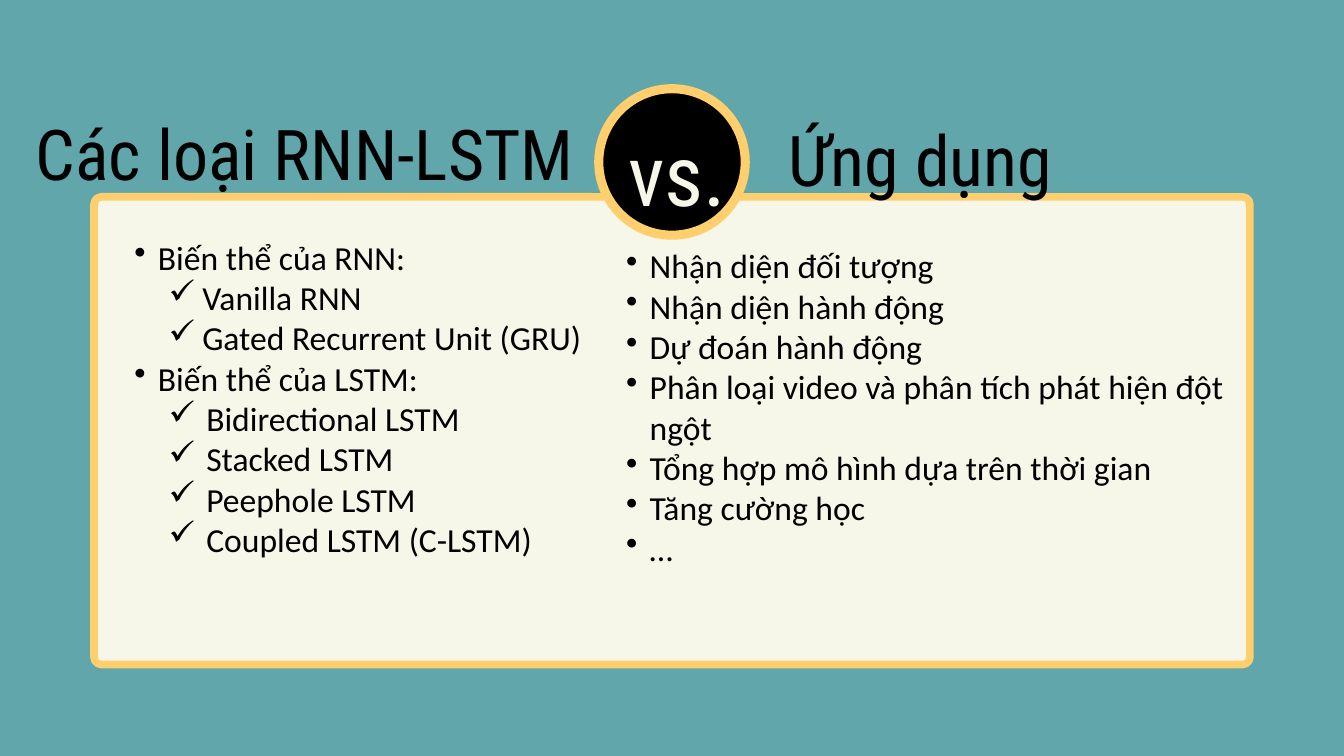
from lxml import etree
from pptx import Presentation, util as u
from pptx.dml.color import RGBColor
from pptx.enum import shapes, text
from pptx.oxml.ns import qn

deck = Presentation()
deck.slide_width, deck.slide_height = u.Inches(20), u.Inches(11.25)
page = deck.slides.add_slide(deck.slide_layouts[5])

# Grid of 80 columns by 45 rows
COLUMN, ROW = deck.slide_width / 80, deck.slide_height / 45
BLACK, CREAM, GOLD, TEAL = "000000", "F6F6E9", "FFCE6D", "61A6AB"
BULLET, CHECK = "•", "✓"


def grid(left, top, width, height):
    return [round(n * unit) for n, unit in
            zip((left, top, width, height), (COLUMN, ROW, COLUMN, ROW))]


def paint(target, colour):
    if hasattr(target, "solid"):
        target.solid()
        target = target.fore_color
    target.rgb = RGBColor.from_string(colour)


paint(page.background.fill, TEAL)

# Card and round badge
for kind, place, colour, weight in [
    (shapes.MSO_SHAPE.ROUNDED_RECTANGLE, (5.6, 11.72, 68.8, 27.84), CREAM, 8.25),
    (shapes.MSO_SHAPE.OVAL, (35.64, 5.28, 8.72, 8.72), BLACK, 9.75),
]:
    shape = page.shapes.add_shape(kind, *grid(*place))
    shape.shadow.inherit = False
    paint(shape.fill, colour)
    paint(shape.line.color, GOLD)
    shape.line.width = u.Pt(weight)
    if kind == shapes.MSO_SHAPE.ROUNDED_RECTANGLE:
        shape.adjustments[0] = 0.016

# Badge text and the two headings; the left one is the slide's title
title = page.shapes.title
for words, place, size, spacing, colour, align in [
    ("vs.", (36.64, 6.2, 7.36, 7), 91.6, 128.3, CREAM, text.PP_ALIGN.CENTER),
    ("Các loại RNN-LSTM", (2.12, 5.76, 34.8, 5.52), 75, 105, BLACK, text.PP_ALIGN.LEFT),
    ("Ứng dụng", (46.92, 6.12, 23, 5.6), 75, 105, BLACK, text.PP_ALIGN.LEFT),
]:
    if words.startswith("Các"):
        box = title
        box.left, box.top, box.width, box.height = grid(*place)
        box.element.getparent().append(box.element)  # in front of the card
    else:
        box = page.shapes.add_textbox(*grid(*place))
    frame = box.text_frame
    frame.word_wrap = True
    frame.auto_size = text.MSO_AUTO_SIZE.SHAPE_TO_FIT_TEXT
    frame.vertical_anchor = text.MSO_ANCHOR.TOP
    frame.margin_left = frame.margin_right = frame.margin_top = frame.margin_bottom = 0
    para = frame.paragraphs[0]
    para.text = words
    para.alignment = align
    para.line_spacing = u.Pt(spacing)
    para.font.name, para.font.size = "Roboto Condensed", u.Pt(size)
    paint(para.font.color, colour)

# Lists: groups of (mark, level, indent, hanging, lines), indents in columns
TOP_LEVEL = (BULLET, 1, 2.76, 1.4)
RNN_LEVEL = (CHECK, 2, 5.4, 2)
LSTM_LEVEL = (CHECK, 2, 5.64, 2.24)
variants = [
    (*TOP_LEVEL, ["Biến thể của RNN:"]),
    (*RNN_LEVEL, ["Vanilla RNN", "Gated Recurrent Unit (GRU)"]),
    (*TOP_LEVEL, ["Biến thể của LSTM:"]),
    (*LSTM_LEVEL, ["Bidirectional LSTM", "Stacked LSTM", "Peephole LSTM",
                   "Coupled LSTM (C-LSTM)"]),
]
uses = [
    (*TOP_LEVEL, ["Nhận diện đối tượng", "Nhận diện hành động", "Dự đoán hành động",
                  "Phân loại video và phân tích phát hiện đột ngột",
                  "Tổng hợp mô hình dựa trên thời gian", "Tăng cường học", "…"]),
]
for groups, place, inset in [
    (variants, (6.64, 14.08, 29.96, 21.8), (0, 0)),
    (uses, (35.52, 14.4, 40.2, 19.8), (0.4, 0.2)),
]:
    frame = page.shapes.add_textbox(*grid(*place)).text_frame
    frame.word_wrap = True
    frame.auto_size = text.MSO_AUTO_SIZE.SHAPE_TO_FIT_TEXT
    frame.margin_left = frame.margin_right = round(inset[0] * COLUMN)
    frame.margin_top = frame.margin_bottom = round(inset[1] * ROW)
    para = None
    for mark, level, indent, hanging, lines in groups:
        for line in lines:
            para = frame.add_paragraph() if para else frame.paragraphs[0]
            para.text = line
            para.level = level
            para.alignment = text.PP_ALIGN.LEFT
            properties = para._p.get_or_add_pPr()
            properties.set("marL", str(round(indent * COLUMN)))
            properties.set("indent", str(round(-hanging * COLUMN)))
            etree.SubElement(properties, qn("a:buChar")).set("char", mark)
            para.font.name, para.font.size = "Calibri", u.Pt(36)
            paint(para.font.color, BLACK)

deck.save("out.pptx")
